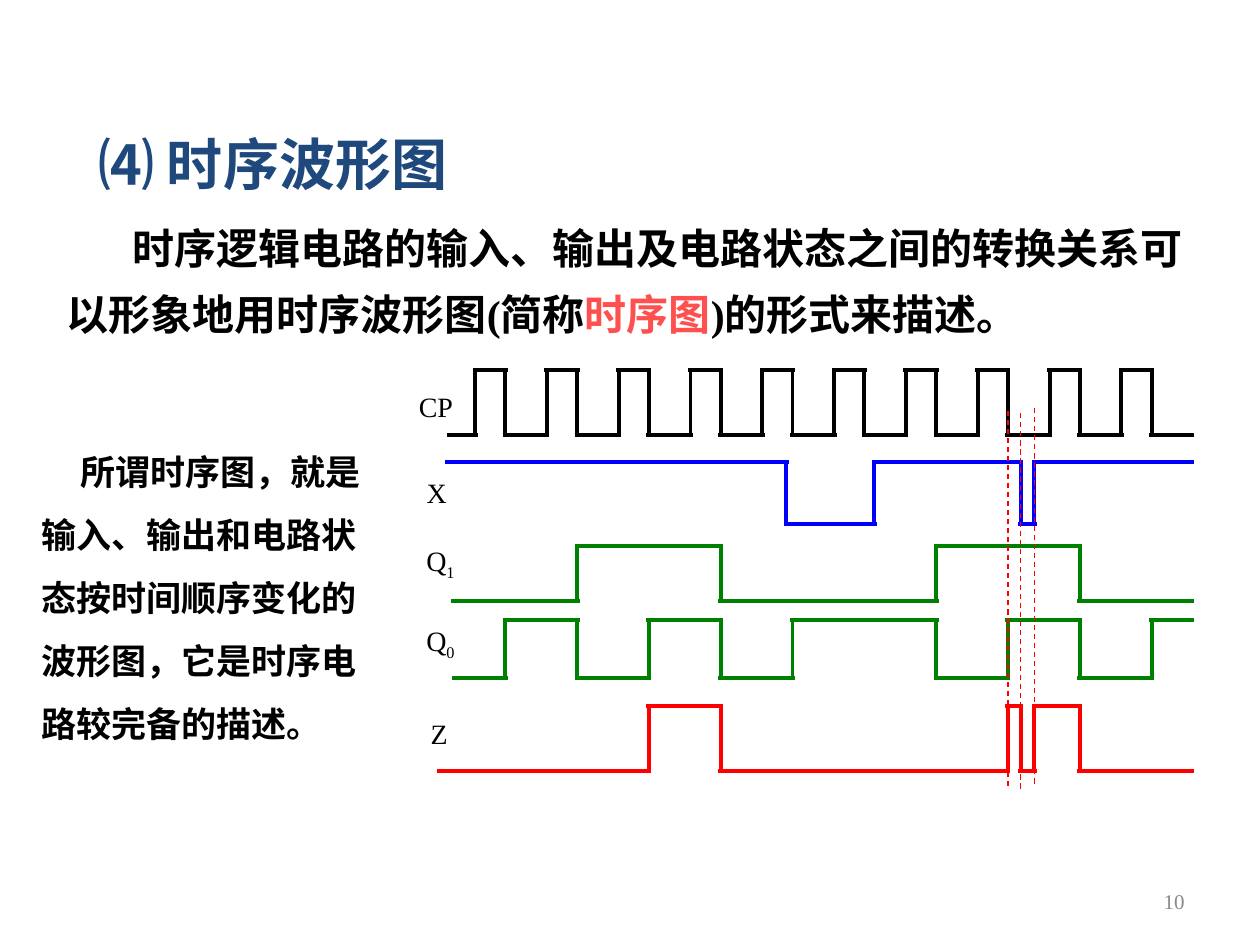
from collections import namedtuple
from dataclasses import dataclass

from lxml import etree
from pptx import Presentation
from pptx.dml.color import RGBColor
from pptx.enum.dml import MSO_LINE
from pptx.enum.shapes import MSO_CONNECTOR
from pptx.enum.text import MSO_ANCHOR, MSO_AUTO_SIZE, PP_ALIGN
from pptx.oxml.ns import qn
from pptx.util import Inches, Pt

STRAIGHT = MSO_CONNECTOR.STRAIGHT
DASH = MSO_LINE.DASH
TOP, MIDDLE = MSO_ANCHOR.TOP, MSO_ANCHOR.MIDDLE
LEFT, CENTER, RIGHT = PP_ALIGN.LEFT, PP_ALIGN.CENTER, PP_ALIGN.RIGHT

Box = namedtuple("Box", "left top width height")
Wave = namedtuple("Wave", "label subscript label_box color start low high starts_high edges")


@dataclass(frozen=True)
class Theme:
    title_font: str = "Roboto"
    text_font: str = "Times New Roman"
    title: RGBColor = RGBColor(0x1F, 0x49, 0x7D)
    text: RGBColor = RGBColor(0, 0, 0)
    highlight: RGBColor = RGBColor(0xFF, 0x50, 0x50)
    muted: RGBColor = RGBColor(0x89, 0x89, 0x89)
    input: RGBColor = RGBColor(0, 0, 0xFF)
    state: RGBColor = RGBColor(0, 0x80, 0)
    output: RGBColor = RGBColor(0xFF, 0, 0)
    title_size: Pt = Pt(32)
    body_size: Pt = Pt(24)
    side_size: Pt = Pt(20)
    label_size: Pt = Pt(16)
    number_size: Pt = Pt(12)
    wave_width: Pt = Pt(2.25)
    marker_width: Pt = Pt(0.75)


THEME = Theme()

# Horizontal positions inside the timing diagram, in inches
PERIOD = 0.57
RISES = [0.5 + PERIOD * cycle for cycle in range(10)]
FALLS = [0.74 + PERIOD * cycle for cycle in range(10)]
GLITCH = [4.83, 4.94]
WAVE_END = 6.21
CORNER = 0.02  # overlap that closes the corners of a wave

WAVES = [
    Wave("CP", "", Box(0.02, 0.15, 0.34, 0.37), THEME.text, 0.28, 0.51, 0, False,
         sorted(RISES + FALLS)),
    Wave("X", "", Box(0, 0.83, 0.39, 0.31), THEME.input, 0.26, 1.22, 0.73, True,
         [2.97, 3.67] + GLITCH),
    Wave("Q", "1", Box(0.03, 1.37, 0.39, 0.49), THEME.state, 0.31, 1.83, 1.39, False,
         [FALLS[cycle] for cycle in (1, 3, 6, 8)]),
    Wave("Q", "0", Box(0.03, 2.01, 0.39, 0.49), THEME.state, 0.32, 2.44, 1.98, False,
         [FALLS[cycle] for cycle in (0, 1, 2, 3, 4, 6, 7, 8, 9)]),
    Wave("Z", "", Box(0.02, 2.75, 0.39, 0.48), THEME.output, 0.2, 3.18, 2.66, False,
         [FALLS[2], FALLS[3], FALLS[7], *GLITCH, FALLS[8]]),
]


def place(shape, box):
    shape.left, shape.top, shape.width, shape.height = map(Inches, box)


def format_frame(shape, anchor=TOP, margins=(0.1, 0.05)):
    frame = shape.text_frame
    frame.word_wrap = True
    frame.auto_size = MSO_AUTO_SIZE.NONE
    frame.vertical_anchor = anchor
    frame.margin_left = frame.margin_right = Inches(margins[0])
    frame.margin_top = frame.margin_bottom = Inches(margins[1])
    return frame.paragraphs[0]


def format_paragraph(paragraph, size, color, font=THEME.text_font, bold=False, align=LEFT):
    paragraph.alignment = align
    paragraph.font.name = font
    paragraph.font.size = size
    paragraph.font.bold = bold
    paragraph.font.color.rgb = color


def indent_first_line(paragraph, indent):
    """Remove the bullet and indent only the first line."""
    properties = paragraph._p.get_or_add_pPr()
    properties.set("marL", "0")
    properties.set("indent", str(Inches(indent)))
    properties.insert_element_before(
        etree.Element(qn("a:buNone")), "a:tabLst", "a:defRPr", "a:extLst")


def add_title(slide, box):
    shape = slide.shapes.title
    place(shape, box)
    paragraph = format_frame(shape, MIDDLE)
    paragraph.text = "⑷ 时序波形图"
    format_paragraph(paragraph, THEME.title_size, THEME.title, THEME.title_font, bold=True)


def add_prose(shape, box, parts, size, spacing, indent):
    """Fill a body placeholder with one paragraph of (text, color) parts."""
    place(shape, box)
    paragraph = format_frame(shape)
    format_paragraph(paragraph, size, THEME.text, bold=True)
    paragraph.line_spacing = spacing
    paragraph.space_before = Pt(0)
    indent_first_line(paragraph, indent)
    for text, color in parts:
        run = paragraph.add_run()
        run.text = text
        if color != THEME.text:
            run.font.color.rgb = color


def add_line(slide, start, end, color, width, dash=None):
    line = slide.shapes.add_connector(STRAIGHT, *map(Inches, (*start, *end)))
    line.line.color.rgb = color
    line.line.width = width
    if dash:
        line.line.dash_style = dash
    etree.SubElement(line._element.spPr, qn("a:effectLst"))


def add_label(slide, box, text, subscript):
    shape = slide.shapes.add_textbox(*map(Inches, box))
    paragraph = format_frame(shape, margins=(0, 0))
    format_paragraph(paragraph, THEME.label_size, THEME.text, align=CENTER)
    paragraph.add_run().text = text
    if subscript:
        run = paragraph.add_run()
        run.text = subscript
        run._r.get_or_add_rPr().set("baseline", "-25000")


def add_wave(slide, box, wave):
    """Draw one signal: a level line up to each edge, then the edge itself."""
    label = wave.label_box
    add_label(slide, label._replace(left=box.left + label.left, top=box.top + label.top),
              wave.label, wave.subscript)
    low, high = box.top + wave.low, box.top + wave.high
    level, other = (high, low) if wave.starts_high else (low, high)
    left = box.left + wave.start
    for edge in wave.edges:
        x = box.left + edge
        add_line(slide, (left, level), (x + CORNER, level), wave.color, THEME.wave_width)
        add_line(slide, (x, level), (x, other), wave.color, THEME.wave_width)
        left = x - CORNER
        level, other = other, level
    add_line(slide, (left, level), (box.left + WAVE_END, level), wave.color, THEME.wave_width)


def add_timing_diagram(slide, box):
    for wave in WAVES:
        add_wave(slide, box, wave)
    for offset, top in zip([FALLS[7], *GLITCH], (0.32, 0.34, 0.3)):
        x, y = box.left + offset, box.top + top
        add_line(slide, (x, y), (x, y + 3), THEME.output, THEME.marker_width, DASH)


def add_page_number(slide, box):
    paragraph = format_frame(slide.shapes.add_textbox(*map(Inches, box)), MIDDLE)
    paragraph.text = "10"
    format_paragraph(paragraph, THEME.number_size, THEME.muted, align=RIGHT)


def main():
    presentation = Presentation()
    presentation.slide_width, presentation.slide_height = Inches(10), Inches(7.5)
    slide = presentation.slides.add_slide(presentation.slide_layouts.get_by_name("Two Content"))
    add_title(slide, Box(0.68, 0.99, 4.97, 0.61))
    add_prose(slide.placeholders[1], Box(0.43, 1.6, 9.37, 1.14), [
        ("时序逻辑电路的输入、输出及电路状态之间的转换关系可以形象地用时序波形图(简称", THEME.text),
        ("时序图", THEME.highlight),
        (")的形式来描述。", THEME.text),
    ], THEME.body_size, 1.3, 0.52)
    add_prose(slide.placeholders[2], Box(0.23, 3.36, 2.75, 2.6), [
        ("所谓时序图，就是输入、输出和电路状态按时间顺序变化的波形图，它是时序电路较完备的描述。", THEME.text),
    ], THEME.side_size, 1.5, 0.31)
    add_timing_diagram(slide, Box(3.27, 2.94, 6.22, 3.34))
    add_page_number(slide, Box(7.17, 6.95, 2.33, 0.4))
    presentation.save("out.pptx")


if __name__ == "__main__":
    main()
